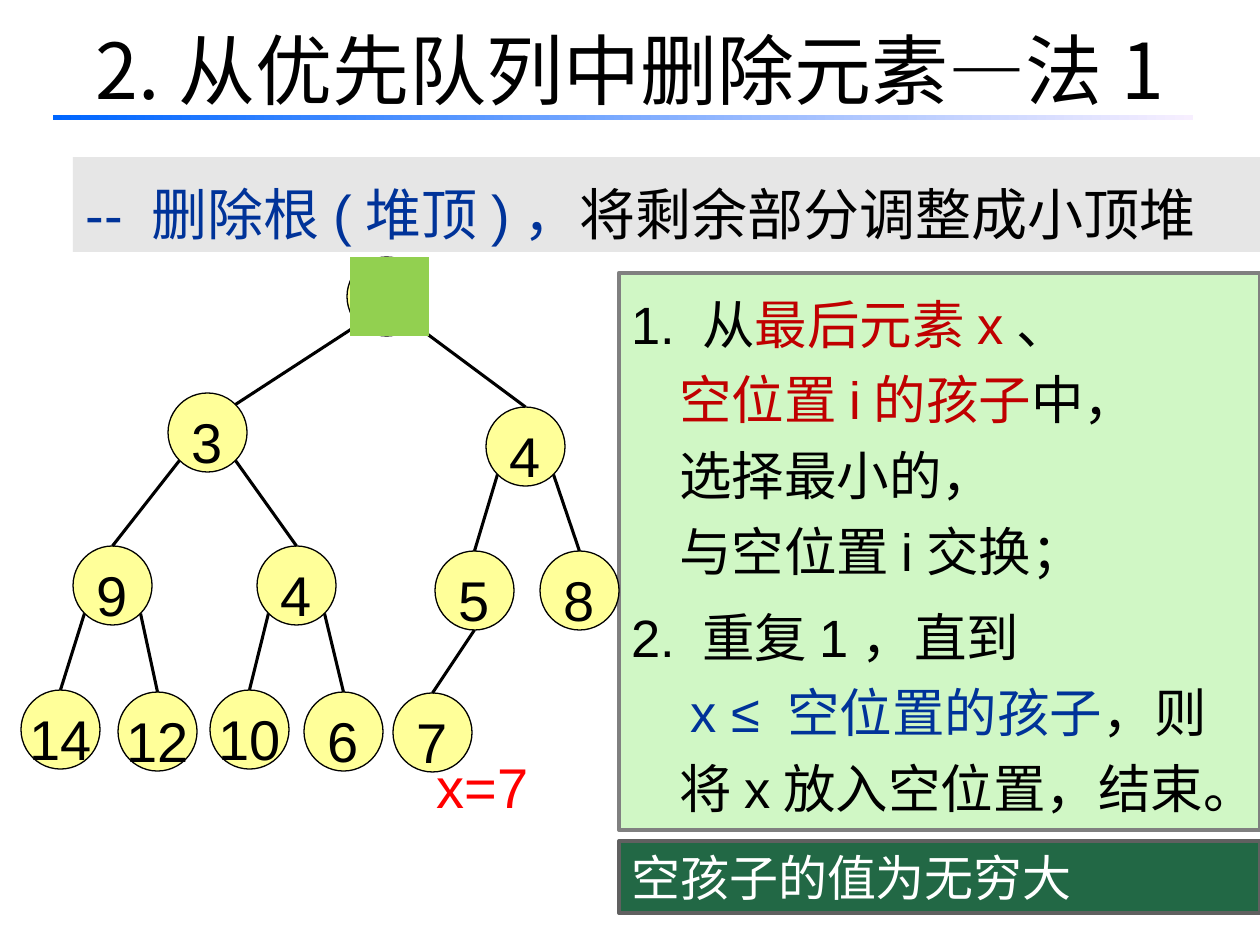
from pptx import Presentation, util as u
from pptx.dml.color import RGBColor
from pptx.enum import shapes as sh, text as tx
from pptx.oxml.ns import qn
from lxml import etree

SCALE = 914400 / 126
THEME = {
    "latin": "Arial", "cjk": "Noto Sans CJK SC",
    "title": 44, "node": 32, "step": 30, "note": 28,
    "black": "000000", "red": "C00000", "blue": "003399", "white": "FFFFFF",
    "bright": "FF0000", "yellow": "FFFF99", "mint": "D0F7C5", "forest": "226845",
    "green": "92D050", "band": "E6E6E6", "gray": "808080", "dark": "606060",
    "rule_start": "0066FF", "rule_end": "F7EFFF",
}


def add_block(kind, box, fill=None, line=None, width=0):
    left, top, w, h = [u.Emu(round(v * SCALE)) for v in box]
    if kind is None:
        block = slide.shapes.add_textbox(left, top, w, h)
    else:
        block = slide.shapes.add_shape(kind, left, top, w, h)
        block.shadow.inherit = False
        if fill:
            block.fill.solid()
            block.fill.fore_color.rgb = RGBColor.from_string(THEME[fill])
        if line:
            block.line.color.rgb = RGBColor.from_string(THEME[line])
            block.line.width = u.Pt(width)
        else:
            block.line.fill.background()
    return block


def write(block, lines, size, align=tx.PP_ALIGN.LEFT, spacing=1.0,
          anchor=tx.MSO_ANCHOR.TOP, wrap=True, font="latin"):
    frame = block.text_frame
    for key, value in {"word_wrap": wrap, "vertical_anchor": anchor}.items():
        setattr(frame, key, value)
    for i, (margin, indent, before, parts) in enumerate(lines):
        para = frame.add_paragraph() if i else frame.paragraphs[0]
        para_format = {"alignment": align, "line_spacing": spacing}
        if before:
            para_format["space_before"] = u.Pt(before)
        for key, value in para_format.items():
            setattr(para, key, value)
        props = para._p.get_or_add_pPr()
        props.set("marL", str(round(margin * SCALE)))
        props.set("indent", str(round(indent * SCALE)))
        for words, color in parts:
            run = para.add_run()
            run.text = words
            for key, value in {"name": THEME[font], "size": u.Pt(THEME[size])}.items():
                setattr(run.font, key, value)
            run.font.color.rgb = RGBColor.from_string(THEME[color])
            east_asian = etree.SubElement(run._r.get_or_add_rPr(), qn("a:ea"))
            east_asian.set("typeface", THEME["cjk"])


RECT, OVAL = sh.MSO_SHAPE.RECTANGLE, sh.MSO_SHAPE.OVAL
CENTER, MIDDLE = tx.PP_ALIGN.CENTER, tx.MSO_ANCHOR.MIDDLE

prs = Presentation()
prs.slide_width, prs.slide_height = u.Inches(10), u.Inches(7.5)
slide = prs.slides.add_slide(prs.slide_layouts[6])

title = add_block(None, (63, -10, 1134, 157))
write(title, [(0, 0, 0, [("2.从优先队列中删除元素—法1", "black")])], "title",
      align=CENTER, anchor=MIDDLE, font="cjk")

title_rule = add_block(RECT, (53, 115, 1140, 5))
title_rule.fill.gradient()
title_rule.fill.gradient_angle = 0
for stop, color in zip(title_rule.fill.gradient_stops, ("rule_start", "rule_end")):
    stop.color.rgb = RGBColor.from_string(THEME[color])

summary = add_block(RECT, (73, 157, 1187, 95), "band")
write(summary, [(48, -48, 0, [("-- 删除根(堆顶)，", "blue"),
                              ("将剩余部分调整成小顶堆", "black")])],
      "node", spacing=1.25)

steps = add_block(RECT, (619, 273, 641, 557), "mint", "gray", 2.25)
write(steps, [
    (48, -48, 0, [("1. 从", "black"), ("最后元素x", "red"), ("、", "black")]),
    (48, 0, 0, [("空位置i的孩子", "red"), ("中，", "black")]),
    (48, 0, 0, [("选择最小的，", "black")]),
    (48, 0, 0, [("与空位置i交换；", "black")]),
    (48, -48, 6, [("2. 重复1，直到", "black")]),
    (59, 0, 0, [("x ≤ 空位置的孩子", "blue"), ("，则", "black")]),
    (48, 0, 0, [("将x放入空位置，结束。", "black")]),
], "step", spacing=1.2)

last_element = add_block(None, (420, 746, 126, 81))
write(last_element, [(0, 0, 0, [("x=7", "bright")])], "node", align=CENTER)

DIAMETER = 79
heap = [
    (2, 347, 257), (3, 168, 393), (4, 486, 407), (9, 73, 546), (4, 257, 546),
    (5, 435, 551), (8, 540, 551), (14, 21, 690), (12, 118, 692), (10, 210, 690),
    (6, 304, 692), (7, 393, 693),
]
for value, left, top in heap:
    node = add_block(OVAL, (left, top, DIAMETER, DIAMETER), "yellow", "black", 0.75)
    write(node, [(0, 0, 0, [(str(value), "black")])], "node",
          align=CENTER, spacing=1.25, anchor=MIDDLE, wrap=False)

TOP, BOTTOM = (0, -1), (0, 1)
exits = {11: BOTTOM}
entries = {1: (0.71, -0.71)}
for child in range(1, len(heap)):
    parent = (child - 1) // 2
    lower_side = (-0.71 if child % 2 else 0.71, 0.71)
    ends = []
    for index, side in ((parent, exits.get(child, lower_side)),
                        (child, entries.get(child, TOP))):
        for corner, offset in zip(heap[index][1:], side):
            ends.append(u.Emu(round((corner + DIAMETER / 2 * (1 + offset)) * SCALE)))
    branch = slide.shapes.add_connector(sh.MSO_CONNECTOR.STRAIGHT, *ends)
    branch.line.color.rgb = RGBColor.from_string(THEME["black"])
    branch.line.width = u.Pt(1.75)
    etree.SubElement(branch._element.spPr, qn("a:effectLst"))

add_block(RECT, (350, 257, DIAMETER, DIAMETER), "green")

remark = add_block(RECT, (619, 841, 641, 72), "forest", "dark", 2.25)
write(remark, [(48, -48, 0, [("空孩子的值为无穷大", "white")])], "note")

prs.save("out.pptx")
